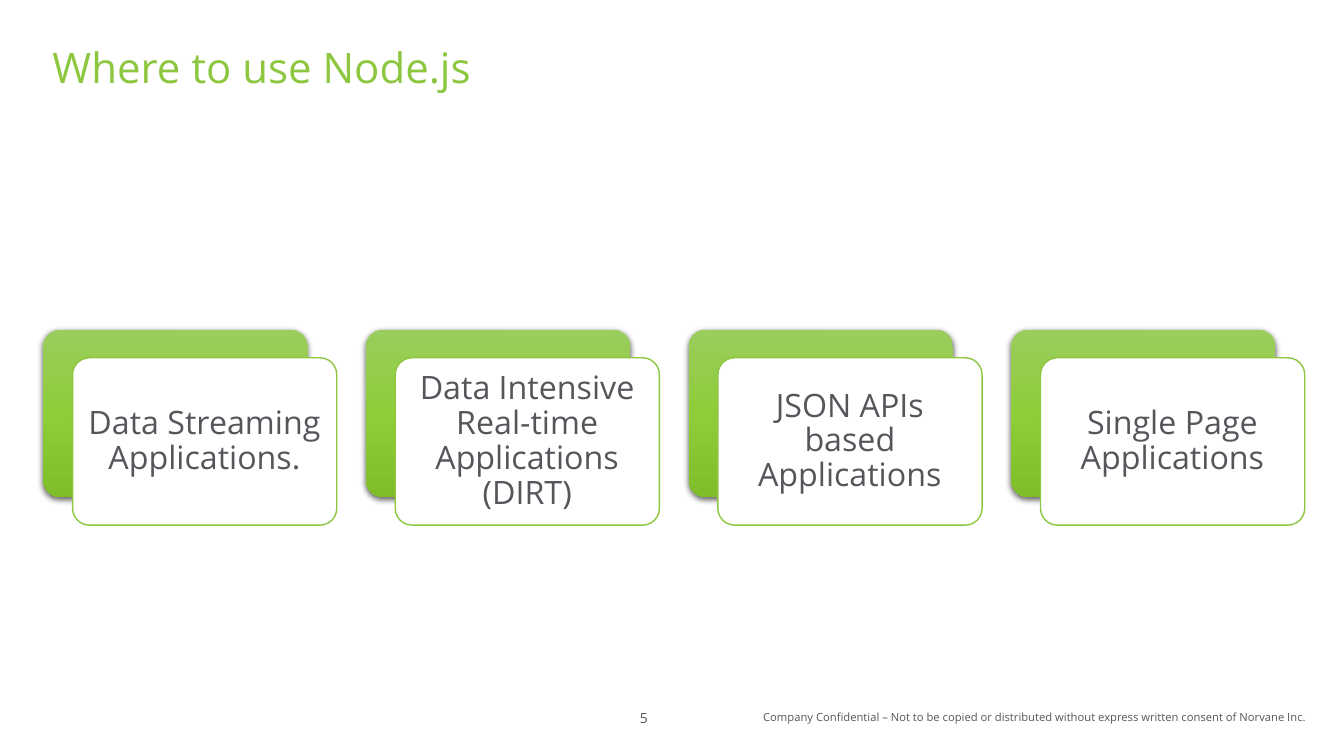
from lxml import etree
from pptx import Presentation
from pptx.dml.color import RGBColor
from pptx.enum.shapes import MSO_SHAPE
from pptx.enum.text import MSO_ANCHOR, PP_ALIGN
from pptx.util import Inches, Pt

TITLE = "Where to use Node.js"
USES = [
    "Data Streaming Applications.",
    "Data Intensive Real-time Applications (DIRT)",
    "JSON APIs based Applications",
    "Single Page Applications",
]
PAGE_NUMBER = "5"
FOOTER = ("Company Confidential – Not to be copied or distributed "
          "without express written consent of Norvane Inc.")

FONT = "Open Sans"
GREEN = RGBColor(0x8D, 0xC6, 0x3F)
GRAY = RGBColor(0x55, 0x56, 0x5B)
WHITE = RGBColor(0xFF, 0xFF, 0xFF)
GRADIENT = [(0, "9ACD5E"), (50, "8ECD38"), (100, "7FBD2A")]

ROUNDED = MSO_SHAPE.ROUNDED_RECTANGLE
MIDDLE, BOTTOM = MSO_ANCHOR.MIDDLE, MSO_ANCHOR.BOTTOM
LEFT, CENTER = PP_ALIGN.LEFT, PP_ALIGN.CENTER
DRAWING_NS = 'xmlns:a="http://schemas.openxmlformats.org/drawingml/2006/main"'

CARD_WIDTH, CARD_HEIGHT = 2.62, 1.66
CARD_LEFT, CARD_TOP, CARD_STEP = 0.43, 3.27, 3.2
FRONT_SHIFT_X, FRONT_SHIFT_Y = 0.29, 0.28


def write(shape, text, size, color=GRAY, align=LEFT, anchor=MIDDLE, spacing=1.0):
    frame = shape.text_frame
    frame.word_wrap = True
    frame.vertical_anchor = anchor
    frame.text = text
    para = frame.paragraphs[0]
    para.alignment = align
    para.line_spacing = spacing
    para.font.name = FONT
    para.font.size = Pt(size)
    para.font.color.rgb = color


def add_card(page, left, top):
    card = page.shapes.add_shape(ROUNDED, Inches(left), Inches(top),
                                 Inches(CARD_WIDTH), Inches(CARD_HEIGHT))
    card.adjustments[0] = 0.1
    return card


def add_back_card(page, left, top):
    """Add a card with a three-stop vertical gradient and a soft shadow."""
    card = add_card(page, left, top)
    card.line.fill.background()
    stops = "".join(f'<a:gs pos="{percent * 1000}"><a:srgbClr val="{color}"/></a:gs>'
                    for percent, color in GRADIENT)
    gradient = etree.fromstring(
        f'<a:gradFill {DRAWING_NS} rotWithShape="1"><a:gsLst>{stops}</a:gsLst>'
        '<a:lin ang="5400000" scaled="0"/></a:gradFill>')
    shadow = etree.fromstring(
        f'<a:effectLst {DRAWING_NS}><a:outerShdw blurRad="{Pt(4.5)}" dist="{Pt(1.5)}" '
        'dir="5400000" algn="ctr" rotWithShape="0"><a:srgbClr val="000000">'
        '<a:alpha val="63000"/></a:srgbClr></a:outerShdw></a:effectLst>')
    properties = card.element.spPr
    properties.insert(2, gradient)
    properties.append(shadow)


def add_front_card(page, left, top, text):
    card = add_card(page, left, top)
    card.shadow.inherit = False
    card.fill.solid()
    card.fill.fore_color.rgb = WHITE
    card.line.color.rgb = GREEN
    card.line.width = Pt(1)
    frame = card.text_frame
    frame.margin_left = frame.margin_right = Inches(0.1)
    frame.margin_top = frame.margin_bottom = Inches(0.1)
    write(card, text, 23, align=CENTER, spacing=0.9)


def add_label(page, left, top, width, height, text, size, align):
    box = page.shapes.add_textbox(Inches(left), Inches(top), Inches(width), Inches(height))
    write(box, text, size, align=align)


def main():
    deck = Presentation()
    deck.slide_width, deck.slide_height = Inches(13.33), Inches(7.5)
    page = deck.slides.add_slide(deck.slide_layouts[5])

    title = page.shapes.title
    title.left, title.top = Inches(0.42), Inches(0.42)
    title.width, title.height = Inches(12.52), Inches(0.55)
    write(title, TITLE, 30, GREEN, anchor=BOTTOM, spacing=0.9)

    for index, use in enumerate(USES):
        left = CARD_LEFT + index * CARD_STEP
        add_back_card(page, left, CARD_TOP)
        add_front_card(page, left + FRONT_SHIFT_X, CARD_TOP + FRONT_SHIFT_Y, use)

    add_label(page, 6.03, 6.92, 0.71, 0.4, PAGE_NUMBER, 10, CENTER)
    add_label(page, 7.47, 6.99, 5.62, 0.24, FOOTER, 8, LEFT)
    deck.save("out.pptx")


if __name__ == "__main__":
    main()
